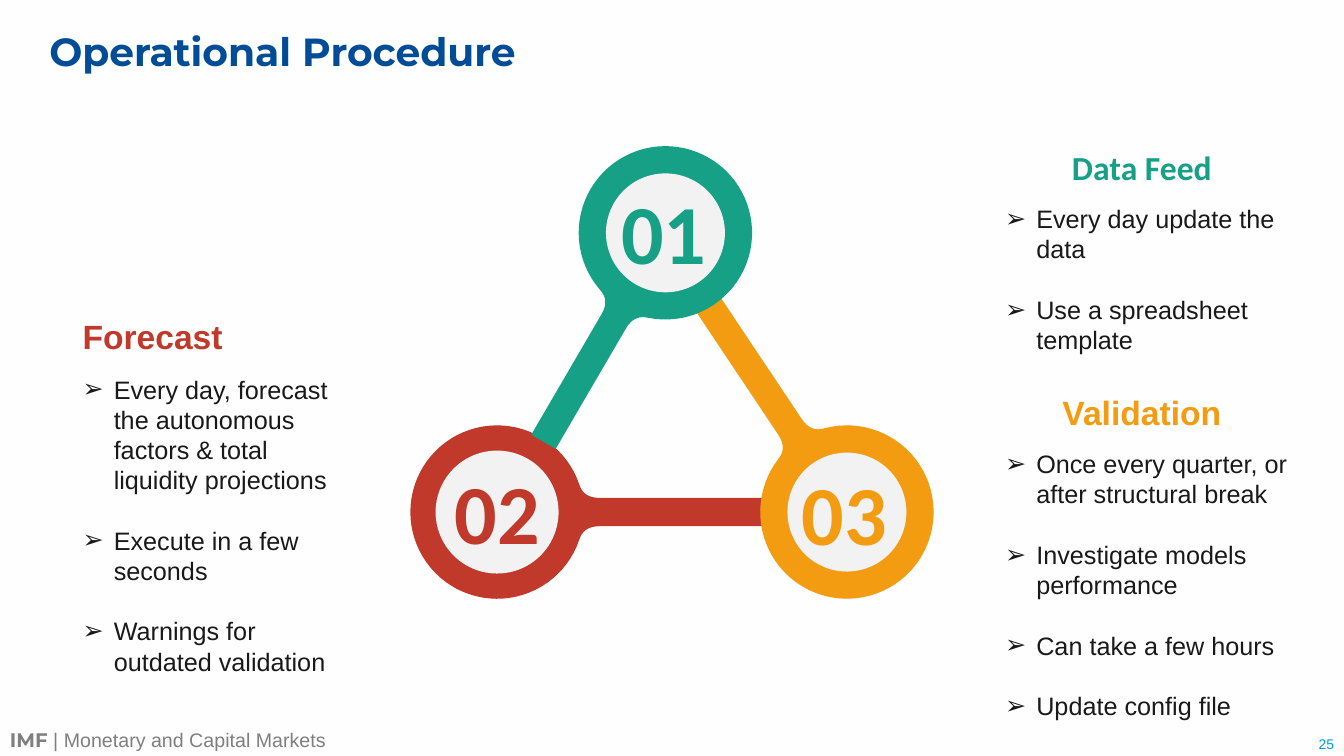
from dataclasses import dataclass
from math import asin, atan2, cos, pi, sin

from pptx import Presentation
from pptx.dml.color import RGBColor
from pptx.enum.shapes import MSO_SHAPE as Shape
from pptx.enum.text import MSO_ANCHOR as Anchor, PP_ALIGN as Align
from pptx.oxml.ns import qn
from pptx.util import Emu, Pt

PX = 9144
HUB_RADIUS = 86
BAR_HALF = 14
FILLET_HALF = 28
FILLET_END = 102
ARC_STEPS = 72
FILLET_STEPS = 8

GREEN, RED, ORANGE = "16A085", "C0392B", "F39C12"
DISC, INK, GREY, BLUE, SKY = "F2F2F2", "191919", "7F7F7F", "004C97", "009CDE"


@dataclass
class Span:
    text: str
    size: int
    font: str
    color: str
    bold: bool = False


@dataclass
class Label:
    left: int
    top: int
    width: int
    height: int
    spans: list[Span]
    align: Align = Align.LEFT
    anchor: Anchor = Anchor.TOP
    wrap: bool = True
    margin: int | None = None
    line_spacing: float = 1.0


@dataclass
class Hub:
    x: int
    y: int
    aim_x: int
    aim_y: int
    reach: int
    disc_radius: int
    color: str
    number: Label


@dataclass
class BulletList:
    left: int
    top: int
    width: int
    height: int
    items: list[str]


def number_label(text: str, left: int, top: int, color: str) -> Label:
    return Label(left, top, 105, 111, [Span(text, 60, "Calibri", color, True)],
                 Align.CENTER, Anchor.MIDDLE, wrap=False)


def heading(text: str, left: int, top: int, font: str, color: str,
            align: Align = Align.CENTER) -> Label:
    return Label(left, top, 291, 50, [Span(text, 24, font, color, True)],
                 align, Anchor.BOTTOM)


HUBS = [
    Hub(493, 508, 840, 508, 266, 61, RED, number_label("02", 441, 451, RED)),
    Hub(840, 508, 655, 231, 248, 59, ORANGE, number_label("03", 785, 452, ORANGE)),
    Hub(660, 231, 499, 507, 240, 59, GREEN, number_label("01", 606, 174, GREEN)),
]

LABELS = [
    Label(0, 717, 1000, 34, [Span("IMF ", 14, "Montserrat", GREY, True),
                             Span("| Monetary and Capital Markets", 14, "Arial", GREY)]),
    Label(1201, 724, 132, 27, [Span("25", 10, "Arial", SKY)], Align.RIGHT, Anchor.BOTTOM),
    Label(49, 0, 1247, 107, [Span("Operational Procedure", 28, "Montserrat", BLUE, True)],
          anchor=Anchor.MIDDLE, margin=0, line_spacing=0.9),
    heading("Data Feed", 987, 141, "Calibri", GREEN),
    heading("Validation", 987, 384, "Arial", ORANGE),
    heading("Forecast", 72, 308, "Arial", RED, Align.LEFT),
]

LISTS = [
    BulletList(987, 197, 291, 185, ["Every day update the data",
                                    "Use a spreadsheet template"]),
    BulletList(987, 440, 325, 306, ["Once every quarter, or after structural break",
                                    "Investigate models performance",
                                    "Can take a few hours", "Update config file"]),
    BulletList(72, 366, 291, 313, [
        "Every day, forecast the autonomous factors & total liquidity projections",
        "Execute in a few seconds", "Warnings for outdated validation"]),
]


def px(length: float) -> Emu:
    return Emu(round(length * PX))


def rgb(color: str) -> RGBColor:
    return RGBColor.from_string(color)


def paint(shape, color: str) -> None:
    shape.shadow.inherit = False
    shape.fill.solid()
    shape.fill.fore_color.rgb = rgb(color)
    shape.line.fill.background()


def hub_outline(reach: int) -> list[tuple[float, float]]:
    opening = asin(FILLET_HALF / HUB_RADIUS)
    sweep = 2 * pi - 2 * opening
    angles = [opening + sweep * step / ARC_STEPS for step in range(ARC_STEPS + 1)]
    arc = [(HUB_RADIUS * cos(angle), HUB_RADIUS * sin(angle)) for angle in angles]
    curve = [(HUB_RADIUS * cos(opening), FILLET_HALF), (84, 19), (90, BAR_HALF),
             (FILLET_END, BAR_HALF)]
    fillet = []
    for step in range(1, FILLET_STEPS + 1):
        t = step / FILLET_STEPS
        weights = ((1 - t) ** 3, 3 * t * (1 - t) ** 2, 3 * t * t * (1 - t), t ** 3)
        fillet.append(tuple(sum(weight * point[axis] for weight, point in zip(weights, curve))
                            for axis in (0, 1)))
    side = fillet + [(reach, BAR_HALF)]
    return arc + [(x, -y) for x, y in side] + side[::-1]


def draw_hub(page, hub: Hub) -> None:
    angle = atan2(hub.aim_y - hub.y, hub.aim_x - hub.x)
    points = [(px(hub.x + x * cos(angle) - y * sin(angle)),
               px(hub.y + x * sin(angle) + y * cos(angle)))
              for x, y in hub_outline(hub.reach)]
    builder = page.shapes.build_freeform(*points[0])
    builder.add_line_segments(points[1:], close=True)
    paint(builder.convert_to_shape(), hub.color)


def draw_disc(page, hub: Hub) -> None:
    radius = hub.disc_radius
    disc = page.shapes.add_shape(Shape.OVAL, px(hub.x - radius), px(hub.y - radius),
                                 px(2 * radius), px(2 * radius))
    paint(disc, DISC)


def add_span(para, span: Span) -> None:
    run = para.add_run()
    run.text = span.text
    run.font.size = Pt(span.size)
    run.font.name = span.font
    run.font.bold = span.bold
    run.font.color.rgb = rgb(span.color)


def draw_label(page, label: Label) -> None:
    box = page.shapes.add_textbox(px(label.left), px(label.top),
                                  px(label.width), px(label.height))
    frame = box.text_frame
    frame.word_wrap = label.wrap
    frame.vertical_anchor = label.anchor
    if label.margin is not None:
        frame.margin_left = frame.margin_right = px(label.margin)
        frame.margin_top = frame.margin_bottom = px(label.margin)
    para = frame.paragraphs[0]
    para.alignment = label.align
    para.line_spacing = label.line_spacing
    for span in label.spans:
        add_span(para, span)


def draw_list(page, bullets: BulletList) -> None:
    box = page.shapes.add_textbox(px(bullets.left), px(bullets.top),
                                  px(bullets.width), px(bullets.height))
    frame = box.text_frame
    frame.word_wrap = True
    for index, item in enumerate(bullets.items):
        para = frame.add_paragraph() if index else frame.paragraphs[0]
        para.space_before = Pt(21.6 if index else 0)
        properties = para._p.get_or_add_pPr()
        properties.set("marL", str(px(31)))
        properties.set("indent", str(px(-31)))
        for tag, name, value in (("a:buFont", "typeface", "Arial"), ("a:buChar", "char", "➢")):
            properties.append(properties.makeelement(qn(tag), {name: value}))
        add_span(para, Span(item, 18, "Arial", INK))


def main() -> None:
    deck = Presentation()
    deck.slide_width, deck.slide_height = px(1333), px(750)
    page = deck.slides.add_slide(deck.slide_layouts[6])
    page.background.fill.solid()
    page.background.fill.fore_color.rgb = rgb("FEFEFE")
    for hub in HUBS:
        draw_hub(page, hub)
    for hub in HUBS:
        draw_disc(page, hub)
    for label in LABELS + [hub.number for hub in HUBS]:
        draw_label(page, label)
    for bullets in LISTS:
        draw_list(page, bullets)
    deck.save("out.pptx")


if __name__ == "__main__":
    main()
